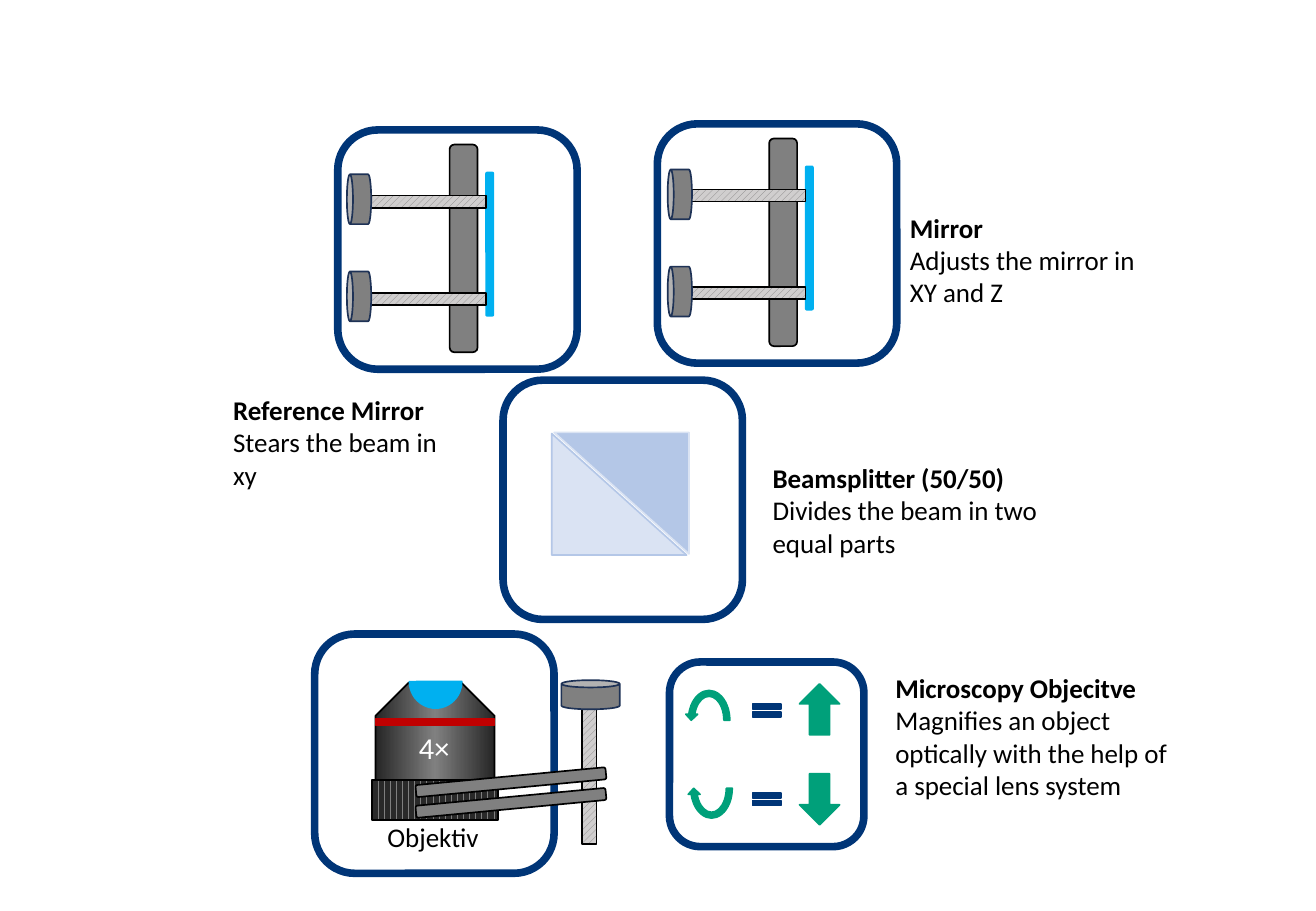
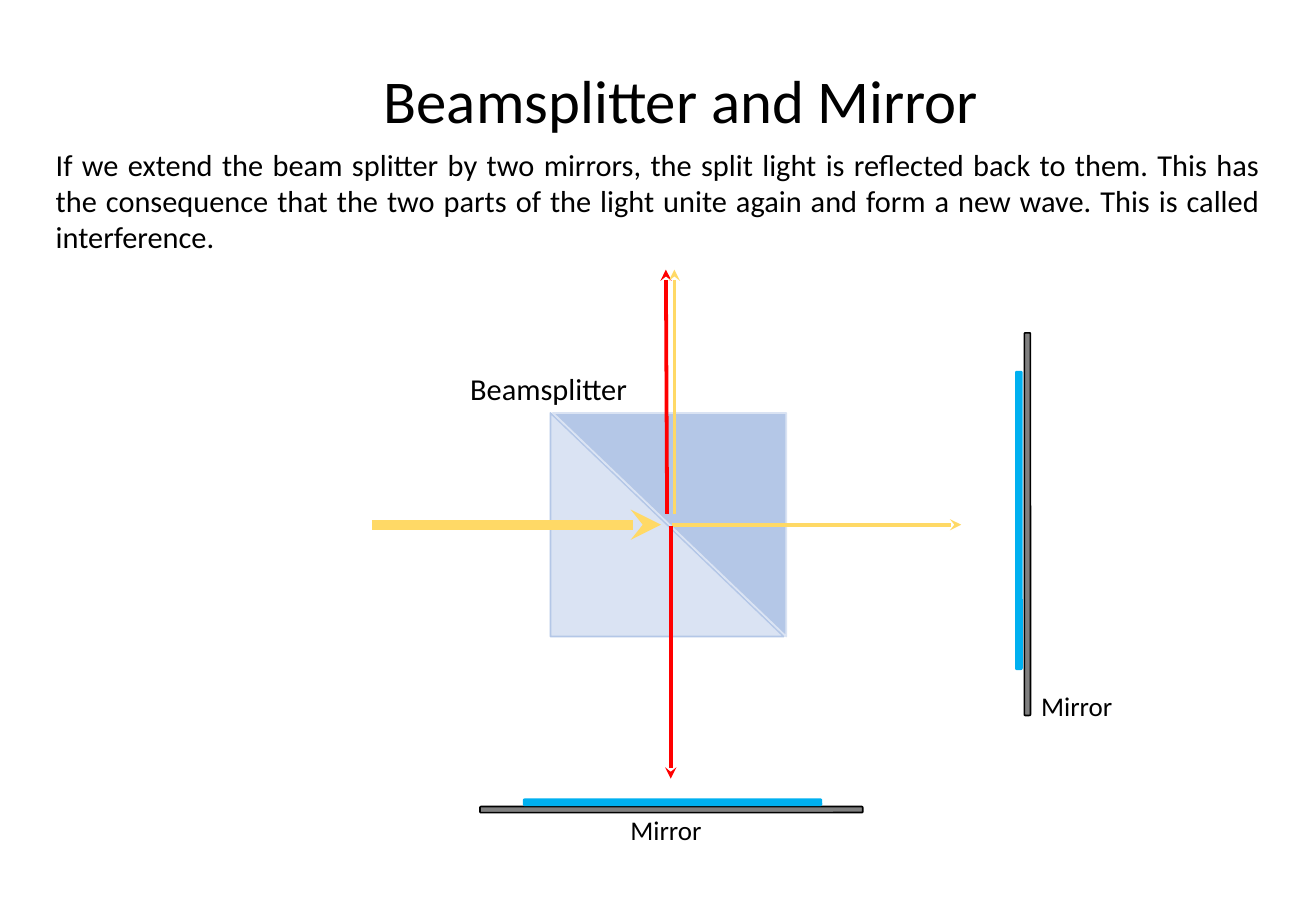
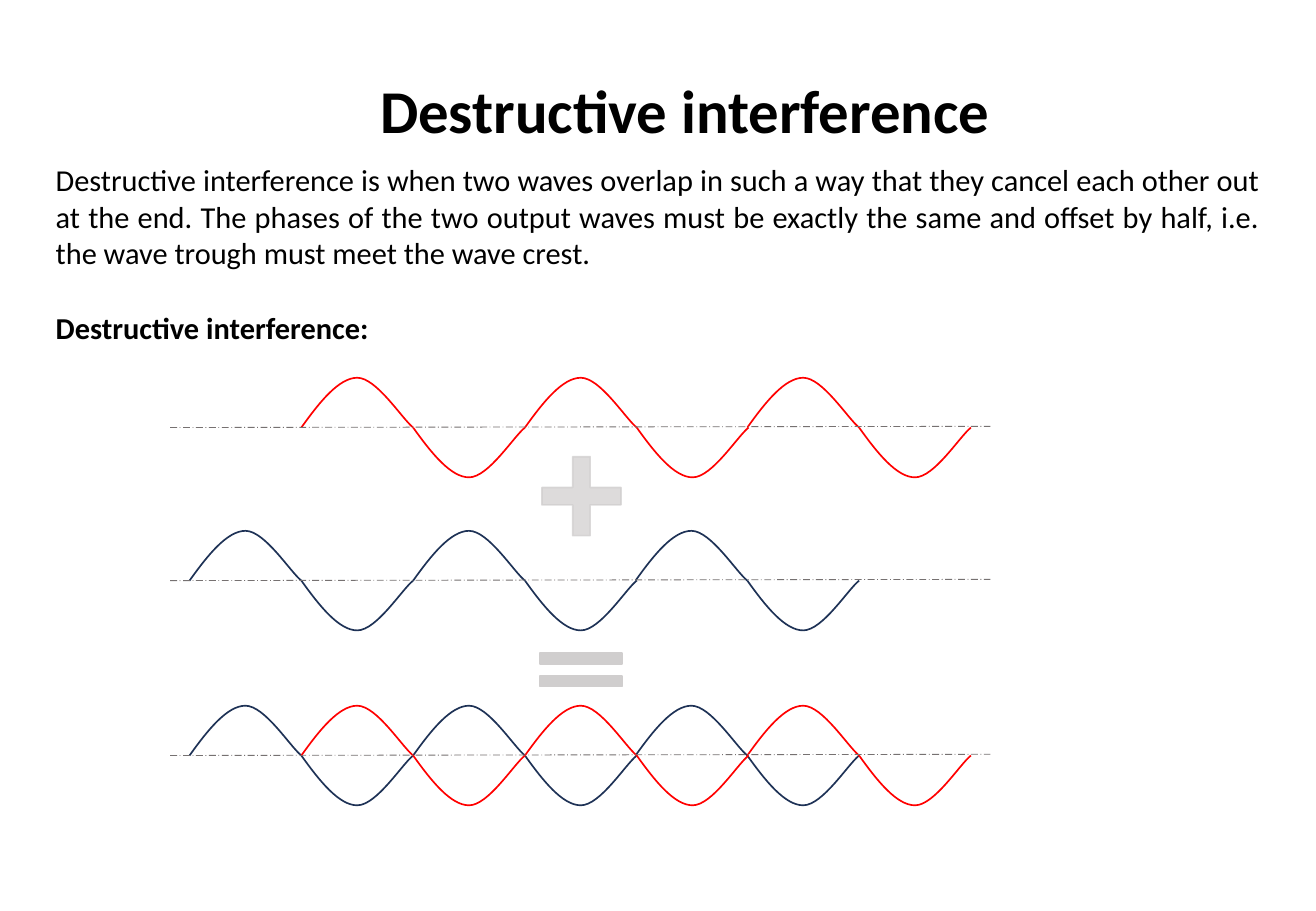
"""Build three slides on the parts and the physics of an interferometer."""
from copy import deepcopy
from dataclasses import dataclass

from lxml import etree
from pptx import Presentation
from pptx import util as u
from pptx.dml.color import RGBColor
from pptx.enum import dml, shapes, text
from pptx.oxml.ns import qn

PX = 9144
SHAPE = shapes.MSO_SHAPE
PATTERN = dml.MSO_PATTERN


@dataclass(frozen=True)
class Theme:
    font: str = "Calibri"
    title: int = 36
    body: int = 18
    label: int = 16
    black: str = "000000"
    white: str = "FFFFFF"
    frame: str = "003577"
    navy: str = "1E3256"
    metal: str = "808080"
    dark: str = "262626"
    glass: str = "00B0F0"
    band: str = "C00000"
    green: str = "00A07A"
    pale: str = "DAE3F3"
    blue: str = "B4C7E7"
    red: str = "FF0000"
    yellow: str = "FFD966"
    sign: str = "D0CECE"
    axis: str = "767171"


T = Theme()
THREAD = (PATTERN.WIDE_UPWARD_DIAGONAL, T.metal, T.sign)
KNURL = (PATTERN.DARK_VERTICAL, "292929", "7F7F7F")


def draw(s, kind, box, fill=None, edge=None, weight=1, rot=0, adj=()):
    sp = s.shapes.add_shape(kind, *(v * PX for v in box))
    sp.shadow.inherit = False
    sp.rotation = rot
    for i, value in enumerate(adj):
        sp.adjustments[i] = value
    if fill is None:
        sp.fill.background()
    elif isinstance(fill, tuple):
        sp.fill.patterned()
        sp.fill.pattern = fill[0]
        sp.fill.fore_color.rgb = RGBColor.from_string(fill[1])
        sp.fill.back_color.rgb = RGBColor.from_string(fill[2])
    else:
        sp.fill.solid()
        sp.fill.fore_color.rgb = RGBColor.from_string(fill)
    sp.line.color.rgb = RGBColor.from_string(edge or fill)
    sp.line.width = u.Pt(weight)
    return sp


def write(s, box, size, *lines, bold=False, align=text.PP_ALIGN.LEFT, color=T.black, wrap=True):
    tf = s.shapes.add_textbox(*(v * PX for v in box)).text_frame
    tf.word_wrap = wrap
    tf.auto_size = text.MSO_AUTO_SIZE.SHAPE_TO_FIT_TEXT
    tf.text = "\n".join(lines)
    for i, p in enumerate(tf.paragraphs):
        p.alignment = align
        for r in p.runs:
            r.font.name = T.font
            r.font.size = u.Pt(size)
            r.font.bold = bold and i == 0
            r.font.color.rgb = RGBColor.from_string(color)


prs = Presentation()
prs.slide_width, prs.slide_height = 1083 * PX, 750 * PX
parts, splitter, waves = (prs.slides.add_slide(prs.slide_layouts[6]) for _ in range(3))

for s, x, y, w, h, dy in ((parts, 454, 357, 111, 100, -1), (splitter, 453, 340, 192, 184, 0)):
    draw(s, SHAPE.RIGHT_TRIANGLE, (x, y, w, h), T.pale, T.blue)
    draw(s, SHAPE.RIGHT_TRIANGLE, (x + 2, y + dy, w, h), T.blue, T.pale, rot=180)

mounts = ((278, 107), (541, 102))
knobs = ((275, 154), (539, 150))
for box in [(x, y, 197, 197) for x, y in mounts + ((414, 313), (259, 522))] + [(551, 545, 160, 152)]:
    draw(parts, SHAPE.ROUNDED_RECTANGLE, box, edge=T.frame, weight=4.5)

for (x, y), (knob_x, knob_y) in zip(mounts, knobs):
    draw(parts, SHAPE.ROUNDED_RECTANGLE, (x + 18, y + 86, 171, 23), T.metal, T.black, rot=90)
    draw(parts, SHAPE.ROUNDED_RECTANGLE, (x + 66, y + 91, 118, 6), T.glass, rot=90)
    for dy in (80, 0):
        draw(parts, SHAPE.RECTANGLE, (x + 68, y + 10 + dy, 10, 98), THREAD, T.black, rot=270)
        draw(parts, SHAPE.CAN, (knob_x, knob_y + dy, 41, 20), T.metal, T.navy, rot=270)

barrel = draw(parts, SHAPE.SNIP_2_SAME_RECTANGLE, (309, 562, 98, 113), T.metal, T.black, adj=(0.28, 0))
barrel.fill.gradient()
barrel.fill.gradient_angle = 0
stops = next(barrel._element.iter(qn("a:gsLst")))
stops.append(deepcopy(stops[0]))
for stop, position, color in zip(barrel.fill.gradient_stops, (0, 0.5, 1), (T.dark, T.metal, T.dark)):
    stop.position = position
    stop.color.rgb = RGBColor.from_string(color)
draw(parts, SHAPE.PIE, (337, 539, 43, 44), T.glass, adj=(0, 107.66))
draw(parts, SHAPE.RECTANGLE, (309, 592, 98, 5), T.band)
draw(parts, SHAPE.RECTANGLE, (479, 579, 12, 116), THREAD, T.black)
write(parts, (309, 671, 96, 37), T.label, "Objektiv", wrap=False)
write(parts, (335, 595, 46, 40), T.body, "4×", color=T.white, wrap=False)
draw(parts, SHAPE.RECTANGLE, (306, 642, 104, 33), KNURL, T.black)
for y in (656, 639):
    draw(parts, SHAPE.ROUNDED_RECTANGLE, (342, y, 157, 10), T.metal, T.black, rot=354.6)
draw(parts, SHAPE.CAN, (462, 560, 48, 24), T.metal, T.navy)

turn = draw(parts, SHAPE.CIRCULAR_ARROW, (564, 566, 39, 54), T.green)
turn._element.spPr.find(qn("a:xfrm")).set("flipH", "1")
draw(parts, SHAPE.CIRCULAR_ARROW, (566, 622, 39, 54), T.green, rot=180)
for kind, arrow_y, equal_y in ((SHAPE.UP_ARROW, 563, 576), (SHAPE.DOWN_ARROW, 637, 649)):
    draw(parts, kind, (658, arrow_y, 33, 42), T.green)
    draw(parts, SHAPE.MATH_EQUAL, (615, equal_y, 32, 18), T.frame)

for box, name, use in (
    ((626, 375, 250, 91), "Beamsplitter (50/50)", "Divides the beam in two equal parts"),
    ((739, 169, 213, 91), "Mirror", "Adjusts the mirror in XY and Z"),
    ((727, 548, 250, 118), "Microscopy Objecitve",
     "Magnifies an object optically with the help of a special lens system"),
    ((182, 319, 203, 91), "Reference Mirror", "Stears the beam in xy"),
):
    write(parts, box, T.label, name, use, bold=True)

write(splitter, (36, 115, 1011, 101), T.body,
      "If we extend the beam splitter by two mirrors, the split light is reflected back to them. "
      "This has the consequence that the two parts of the light unite again and form a new wave. "
      "This is called interference.", align=text.PP_ALIGN.JUSTIFY)
write(splitter, (306, 47, 515, 71), T.title, "Beamsplitter and Mirror", wrap=False)
write(splitter, (341, 300, 221, 40), T.body, "Beamsplitter", align=text.PP_ALIGN.CENTER)
for back, front, label in (
    ((395, 664, 315, 5), (431, 658, 245, 5), (509, 665, 80, 37)),
    ((843, 274, 5, 315), (836, 306, 5, 245), (847, 563, 80, 37)),
):
    draw(splitter, SHAPE.ROUNDED_RECTANGLE, back, T.metal, T.black)
    draw(splitter, SHAPE.ROUNDED_RECTANGLE, front, T.glass)
    write(splitter, label, T.label, "Mirror", wrap=False)

plus = draw(waves, SHAPE.CROSS, (446, 376, 65, 65), T.sign, adj=(0.39,))
for color in plus._element.spPr.iter(qn("a:srgbClr")):
    etree.SubElement(color, qn("a:alpha"), val="72000")
write(waves, (36, 128, 1011, 101), T.body,
      "Destructive interference is when two waves overlap in such a way that they cancel each "
      "other out at the end. The phases of the two output waves must be exactly the same and "
      "offset by half, i.e. the wave trough must meet the wave crest.", align=text.PP_ALIGN.JUSTIFY)
write(waves, (303, 55, 541, 71), T.title, "Destructive interference", bold=True, wrap=False)
write(waves, (36, 250, 1012, 40), T.body, "Destructive interference:",
      bold=True, align=text.PP_ALIGN.JUSTIFY)

WAVE, HALF, CREST = 551, 92, 41
curves = (((15, 21), (31, CREST), (46, CREST)), ((62, CREST), (83, 7), (HALF, 0)))
for x, y, color in ((156, 622, T.navy), (248, 622, T.red), (248, 352, T.red), (156, 478, T.navy)):
    for i in range(6):
        left, up = x + round(i * WAVE / 6), i % 2 == 0
        peak = y - CREST if up else y + CREST
        builder = waves.shapes.build_freeform(left * PX, y * PX)
        builder.add_line_segments([((left + 46) * PX, peak * PX), ((left + HALF) * PX, y * PX)], close=False)
        sp = builder.convert_to_shape()
        outline = next(sp._element.iter(qn("a:path")))
        for segment, curve in zip(outline.findall(qn("a:lnTo")), curves):
            bend = etree.Element(qn("a:cubicBezTo"))
            for dx, dy in curve:
                etree.SubElement(bend, qn("a:pt"), x=str(dx * PX), y=str((CREST - dy if up else dy) * PX))
            outline.replace(segment, bend)
        sp.shadow.inherit = False
        sp.fill.background()
        sp.line.color.rgb = RGBColor.from_string(color)
        sp.line.width = u.Pt(1)
draw(waves, SHAPE.MATH_EQUAL, (432, 533, 92, 37), T.sign, adj=(0.24, 0.26))

beams = (
    (306, 432, 544, 432, T.yellow, 6),
    (553, 432, 791, 432, T.yellow, 2.25),
    (552, 433, 552, 641, T.red, 2.25),
    (549, 423, 548, 222, T.red, 2.25),
    (555, 423, 555, 222, T.yellow, 2.25),
)
axes = [(140, y, 815, y - 1, T.axis, 0.5) for y in (622, 352, 478)]
for s, lines in ((splitter, beams), (waves, axes)):
    for *ends, color, weight in lines:
        sp = s.shapes.add_connector(shapes.MSO_CONNECTOR.STRAIGHT, *(v * PX for v in ends))
        sp.line.color.rgb = RGBColor.from_string(color)
        sp.line.width = u.Pt(weight)
        if s is splitter:
            etree.SubElement(sp._element.spPr.find(qn("a:ln")), qn("a:tailEnd"), type="stealth")
        else:
            sp.line.dash_style = dml.MSO_LINE.LONG_DASH_DOT
        etree.SubElement(sp._element.spPr, qn("a:effectLst"))

prs.save("out.pptx")
